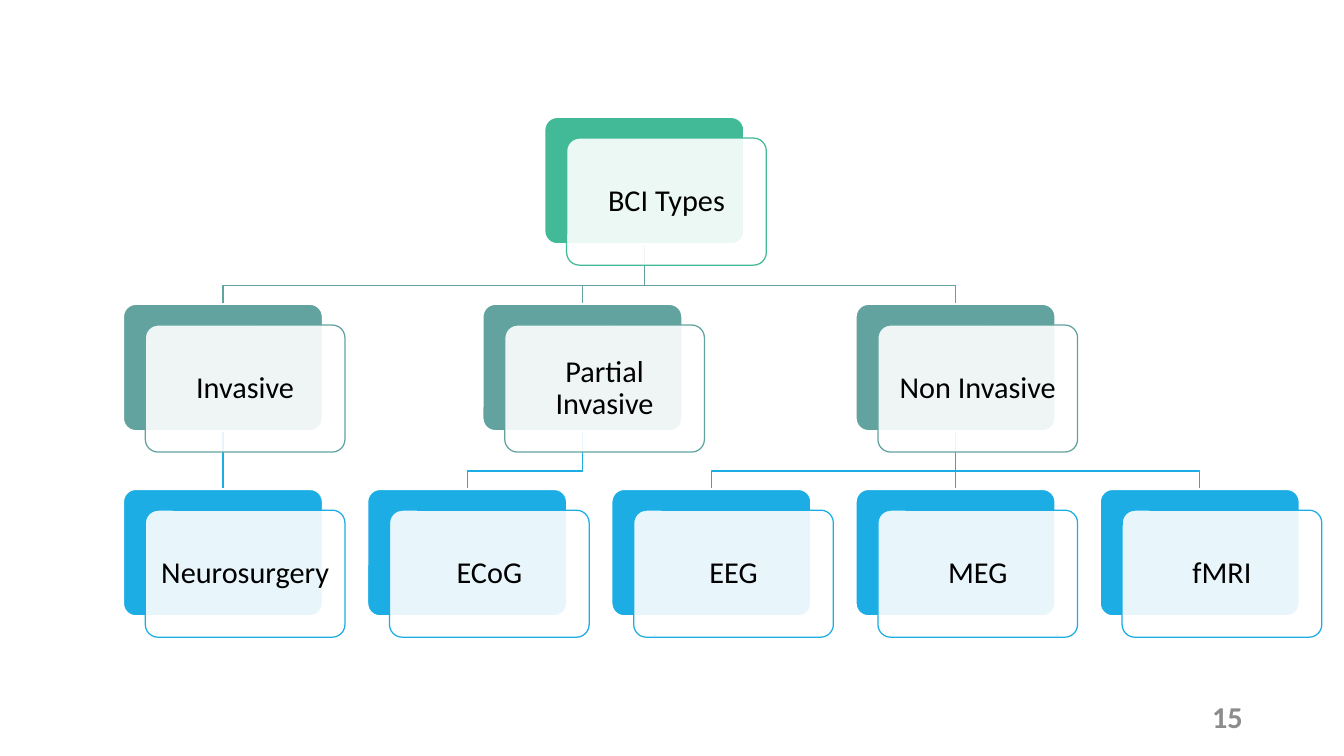
from lxml import etree
from pptx import Presentation
from pptx.dml.color import RGBColor
from pptx.enum.shapes import MSO_CONNECTOR, MSO_SHAPE
from pptx.enum.text import MSO_ANCHOR, PP_ALIGN
from pptx.oxml.ns import qn
from pptx.util import Pt

STRAIGHT = MSO_CONNECTOR.STRAIGHT
ROUNDED = MSO_SHAPE.ROUNDED_RECTANGLE
MIDDLE = MSO_ANCHOR.MIDDLE
CENTER, RIGHT = PP_ALIGN.CENTER, PP_ALIGN.RIGHT
BOTTOM_SIDE, TOP_SIDE = 2, 0

COLORS = {"root": "42BA97", "group": "62A39F", "method": "1CADE4",
          "white": "FFFFFF", "text": "000000", "number": "8C8C8C"}
LEVELS = {"root": 92.9, "group": 241.2, "method": 388.1}
FIRST_COLUMN, COLUMN_STEP = 97.7, 193.75
CARD_W, CARD_H = 158.4, 100.8
FRONT_DX, FRONT_DY = 17.6, 16.7
ELBOW_RISE = 14.4

ROOT = ("BCI Types", 432)
GROUPS = [
    ("Invasive", FIRST_COLUMN, ["Neurosurgery"]),
    ("Partial Invasive", 382.9, ["ECoG"]),
    ("Non Invasive", FIRST_COLUMN + 3 * COLUMN_STEP, ["EEG", "MEG", "fMRI"]),
]
PAGE_NUMBER = "15"


def color(key):
    return RGBColor.from_string(COLORS[key])


def style_text(frame, size, key, align, bold=False):
    frame.word_wrap = True
    frame.vertical_anchor = MIDDLE
    paragraph = frame.paragraphs[0]
    paragraph.alignment = align
    font = paragraph.runs[0].font
    font.name, font.size, font.bold = "Calibri", Pt(size), bold
    font.color.rgb = color(key)


def add_link(shapes, parent, child):
    _, parent_level, parent_left = parent
    _, level, left = child
    x1, x2 = parent_left + CARD_W / 2, left + CARD_W / 2
    y1, y2 = LEVELS[parent_level] + CARD_H, LEVELS[level]
    if x1 == x2:
        link = shapes.add_connector(STRAIGHT, Pt(x1), Pt(y1), Pt(x2), Pt(y2))
        etree.SubElement(link._element.spPr, qn("a:effectLst"))
    else:
        elbow = y2 - ELBOW_RISE
        builder = shapes.build_freeform(Pt(x1), Pt(y1))
        builder.add_line_segments(
            [(Pt(x1), Pt(elbow)), (Pt(x2), Pt(elbow)), (Pt(x2), Pt(y2))], close=False)
        link = builder.convert_to_shape()
        link.fill.background()
        link.shadow.inherit = False
    link.line.color.rgb = color(level)
    link.line.width = Pt(1)
    return link if x1 == x2 else None


def add_panel(shapes, left, top, fill, line, line_width):
    panel = shapes.add_shape(ROUNDED, Pt(left), Pt(top), Pt(CARD_W), Pt(CARD_H))
    panel.adjustments[0] = 0.1
    panel.shadow.inherit = False
    panel.fill.solid()
    panel.fill.fore_color.rgb = color(fill)
    panel.line.color.rgb = color(line)
    panel.line.width = Pt(line_width)
    return panel


def add_card(shapes, label, level, left):
    top = LEVELS[level]
    back = add_panel(shapes, left, top, level, "white", 1.5)
    front = add_panel(shapes, left + FRONT_DX, top + FRONT_DY, "white", level, 1)
    front_color = front._element.spPr.find(qn("a:solidFill"))[0]
    etree.SubElement(front_color, qn("a:alpha"), val="90000")
    frame = front.text_frame
    frame.text = label
    frame.margin_left = frame.margin_right = Pt(8)
    frame.paragraphs[0].line_spacing = 0.9
    style_text(frame, 24, "text", CENTER)
    return back


def main():
    prs = Presentation()
    prs.slide_width, prs.slide_height = Pt(1066.3), Pt(599.8)
    shapes = prs.slides.add_slide(prs.slide_layouts[6]).shapes

    root = (ROOT[0], "root", ROOT[1])
    nodes, pairs = [root], []
    column = 0
    for label, left, methods in GROUPS:
        group = (label, "group", left)
        nodes.append(group)
        pairs.append((root, group))
        for method_label in methods:
            method = (method_label, "method", FIRST_COLUMN + column * COLUMN_STEP)
            nodes.append(method)
            pairs.append((group, method))
            column += 1

    links = [(add_link(shapes, *pair), *pair) for pair in pairs]
    cards = {node: add_card(shapes, *node) for node in nodes}
    for link, parent, child in links:
        if link is not None:
            link.begin_connect(cards[parent], BOTTOM_SIDE)
            link.end_connect(cards[child], TOP_SIDE)

    number = shapes.add_textbox(Pt(753), Pt(552.2), Pt(240), Pt(31.7))
    number.text_frame.text = PAGE_NUMBER
    style_text(number.text_frame, 24, "number", RIGHT, bold=True)

    prs.save("out.pptx")


if __name__ == "__main__":
    main()
